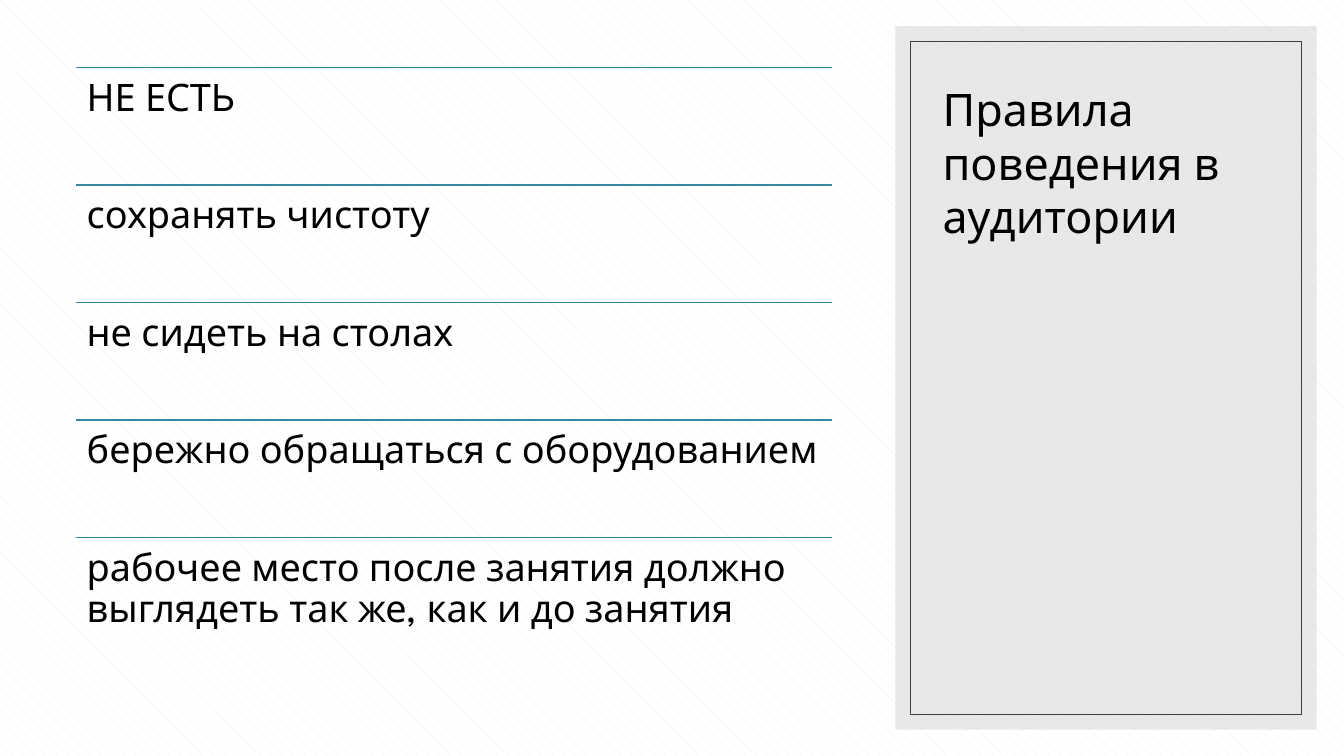
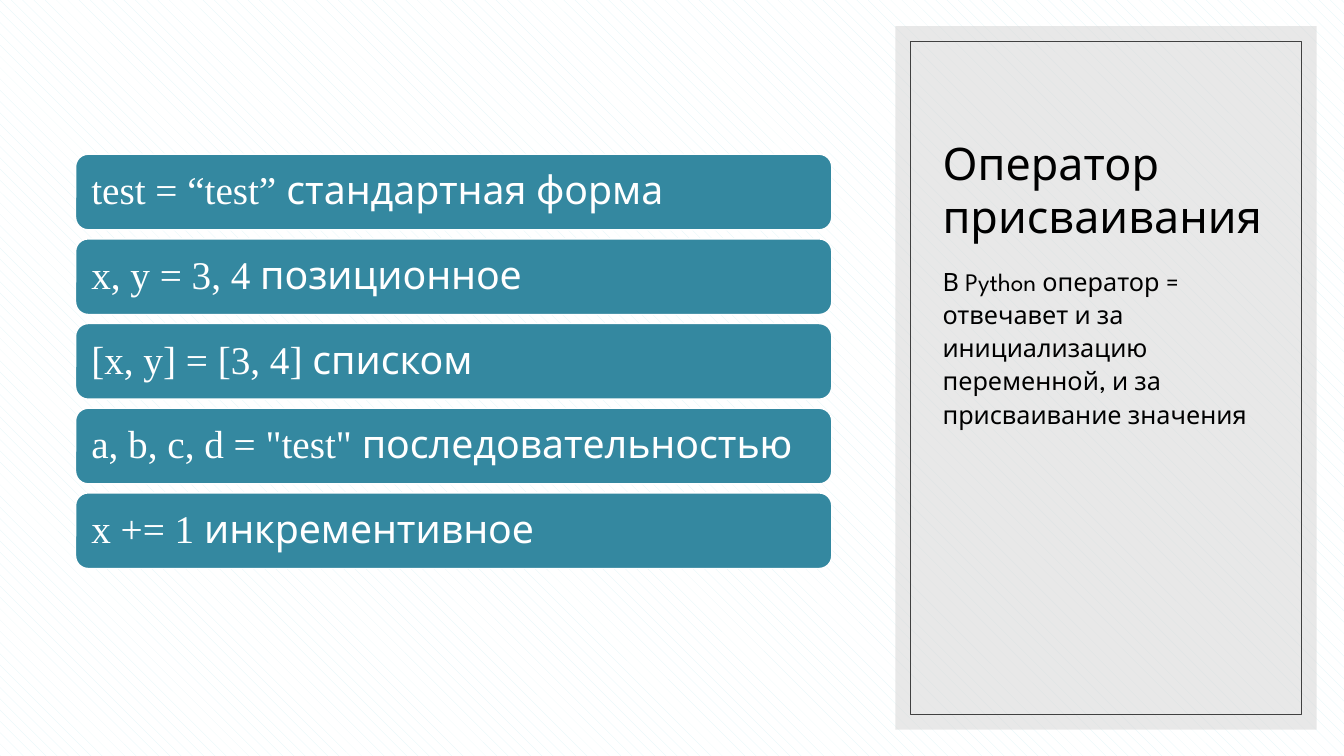
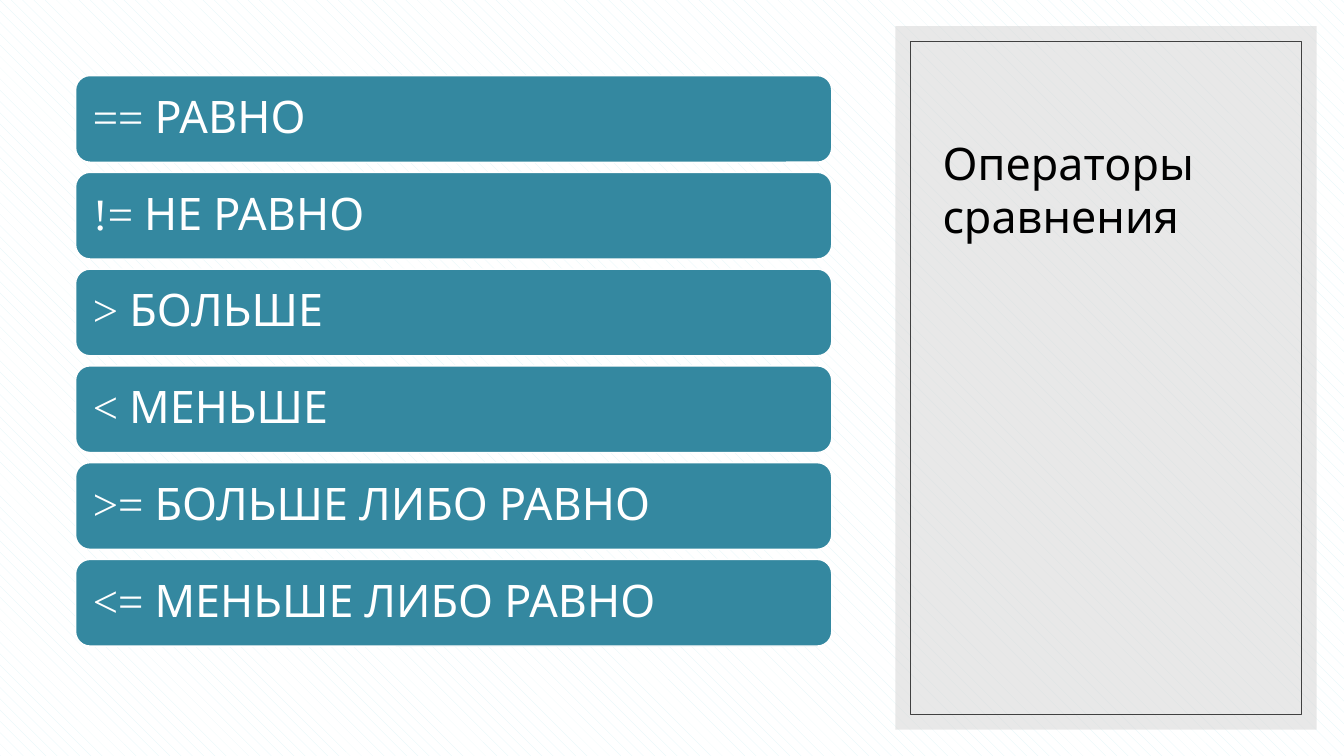
"""Three Python lesson slides: classroom rules, assignment and comparison operators."""
import pptx
import pptx.util
import pptx.dml.color
import pptx.enum.dml
import pptx.enum.shapes
import pptx.enum.text
import pptx.oxml

RGB = pptx.dml.color.RGBColor
SHAPE = pptx.enum.shapes.MSO_SHAPE
ANCHOR = pptx.enum.text.MSO_ANCHOR
Inches, Pt = pptx.util.Inches, pptx.util.Pt

BLACK, WHITE = RGB(0x00, 0x00, 0x00), RGB(0xFF, 0xFF, 0xFF)
TEAL, PALE = RGB(0x34, 0x88, 0xA0), RGB(0xDE, 0xF4, 0xF7)
GREY, DARK = RGB(0xD9, 0xD9, 0xD9), RGB(0x40, 0x40, 0x40)
FONT, CODE = "League Spartan", "Times New Roman"
LEFT, WIDTH = 0.75, 7.5
PANEL = (8.88, 0.26, 4.18, 6.98)
FRAME_GAP = 0.15
TITLE = (9.25, 0.66, 3.46, 1.8)
NOTE = (9.25, 2.56, 3.46, 3.94)

RULES = [
    "НЕ ЕСТЬ",
    "сохранять чистоту",
    "не сидеть на столах",
    "бережно обращаться с оборудованием",
    "рабочее место после занятия должно выглядеть так же, как и до занятия",
]
ASSIGNMENTS = [
    ("test = “test” ", "стандартная форма"),
    ("x, y = 3, 4 ", "позиционное"),
    ("[x, y] = [3, 4] ", "списком"),
    ('a, b, c, d = "test" ', "последовательностью"),
    ("x += 1 ", "инкрементивное"),
]
COMPARISONS = [
    ("==", " РАВНО"),
    ("!=", " НЕ РАВНО"),
    ("> ", "БОЛЬШЕ"),
    ("<", " МЕНЬШЕ"),
    (">=", " БОЛЬШЕ ЛИБО РАВНО"),
    ("<=", " МЕНЬШЕ ЛИБО РАВНО"),
]
SLIDES = [
    dict(title="Правила поведения в аудитории", rules=RULES, top=0.67, pitch=1.166),
    dict(title="Оператор присваивания",
         note="В Python оператор = отвечавет и за инициализацию переменной, "
              "и за присваивание значения",
         bars=ASSIGNMENTS, top=1.53, pitch=0.84, height=0.75, size=28, inset=0.12),
    dict(title="Операторы сравнения",
         bars=COMPARISONS, top=0.75, pitch=0.96, height=0.86, size=32, inset=0.13),
]


def write(sp, *runs, size, color=BLACK, anchor=ANCHOR.TOP, inset=None,
          spacing=None, before=None):
    tf = sp.text_frame
    tf.word_wrap = True
    tf.vertical_anchor = anchor
    if inset is not None:
        tf.margin_left = tf.margin_right = Inches(inset)
        tf.margin_top = tf.margin_bottom = Inches(inset)
    p = tf.paragraphs[0]
    p.alignment = pptx.enum.text.PP_ALIGN.LEFT
    p.line_spacing = spacing
    if before is not None:
        p.space_before = Pt(before)
    for text, font in runs:
        r = p.add_run()
        r.text = text
        r.font.name, r.font.size = font, Pt(size)
        r.font.color.rgb = color


def textbox(s, box, text, **fmt):
    write(s.shapes.add_textbox(*map(Inches, box)), (text, FONT), **fmt)


def shape(s, kind, box, fill=None, line=None, weight=1):
    sp = s.shapes.add_shape(kind, *map(Inches, box))
    sp.shadow.inherit = False
    if fill is None:
        sp.fill.background()
    else:
        sp.fill.solid()
        sp.fill.fore_color.rgb = fill
    if line is None:
        sp.line.fill.background()
    else:
        sp.line.color.rgb = line
        sp.line.width = Pt(weight)
    return sp


def side_panel(s, title, note=None):
    panel = shape(s, SHAPE.RECTANGLE, PANEL, fill=GREY)
    color = panel.element.find(".//" + pptx.oxml.ns.qn("a:srgbClr"))
    alpha = pptx.oxml.parse_xml(
        f'<a:alpha {pptx.oxml.ns.nsdecls("a")} val="60000"/>')
    color.append(alpha)
    x, y, w, h = PANEL
    frame = (x + FRAME_GAP, y + FRAME_GAP, w - 2 * FRAME_GAP, h - 2 * FRAME_GAP)
    shape(s, SHAPE.RECTANGLE, frame, line=DARK, weight=0.5)
    textbox(s, TITLE, title, size=32, anchor=ANCHOR.BOTTOM)
    if note:
        textbox(s, NOTE, note, size=18, spacing=1.1, before=8)


def rule_rows(s, rules, top, pitch):
    for i, rule in enumerate(rules):
        y = top + i * pitch
        line = s.shapes.add_connector(
            pptx.enum.shapes.MSO_CONNECTOR.STRAIGHT,
            *map(Inches, (LEFT, y, LEFT + WIDTH, y)))
        line.line.color.rgb = TEAL
        line.line.width = Pt(1)
        line.element.spPr.append(pptx.oxml.parse_xml(
            f'<a:effectLst {pptx.oxml.ns.nsdecls("a")}/>'))
        textbox(s, (LEFT, y, WIDTH, pitch), rule, size=27, inset=0.11, spacing=0.9)


def code_bars(s, bars, top, pitch, height, size, inset):
    for i, (code, words) in enumerate(bars):
        bar = shape(s, SHAPE.ROUNDED_RECTANGLE,
                    (LEFT, top + i * pitch, WIDTH, height), fill=TEAL, line=WHITE)
        write(bar, (code, CODE), (words, FONT), size=size, color=WHITE,
              anchor=ANCHOR.MIDDLE, inset=inset, spacing=0.9)


def main():
    prs = pptx.Presentation()
    prs.slide_width, prs.slide_height = Inches(13.33), Inches(7.5)
    backdrop = prs.slide_master.background.fill
    backdrop.patterned()
    backdrop.pattern = pptx.enum.dml.MSO_PATTERN.SHINGLE
    backdrop.fore_color.rgb, backdrop.back_color.rgb = PALE, WHITE
    for content in SLIDES:
        layout = dict(content)
        s = prs.slides.add_slide(prs.slide_layouts[6])
        side_panel(s, layout.pop("title"), layout.pop("note", None))
        draw = rule_rows if "rules" in layout else code_bars
        draw(s, **layout)
    prs.save("out.pptx")


if __name__ == "__main__":
    main()
